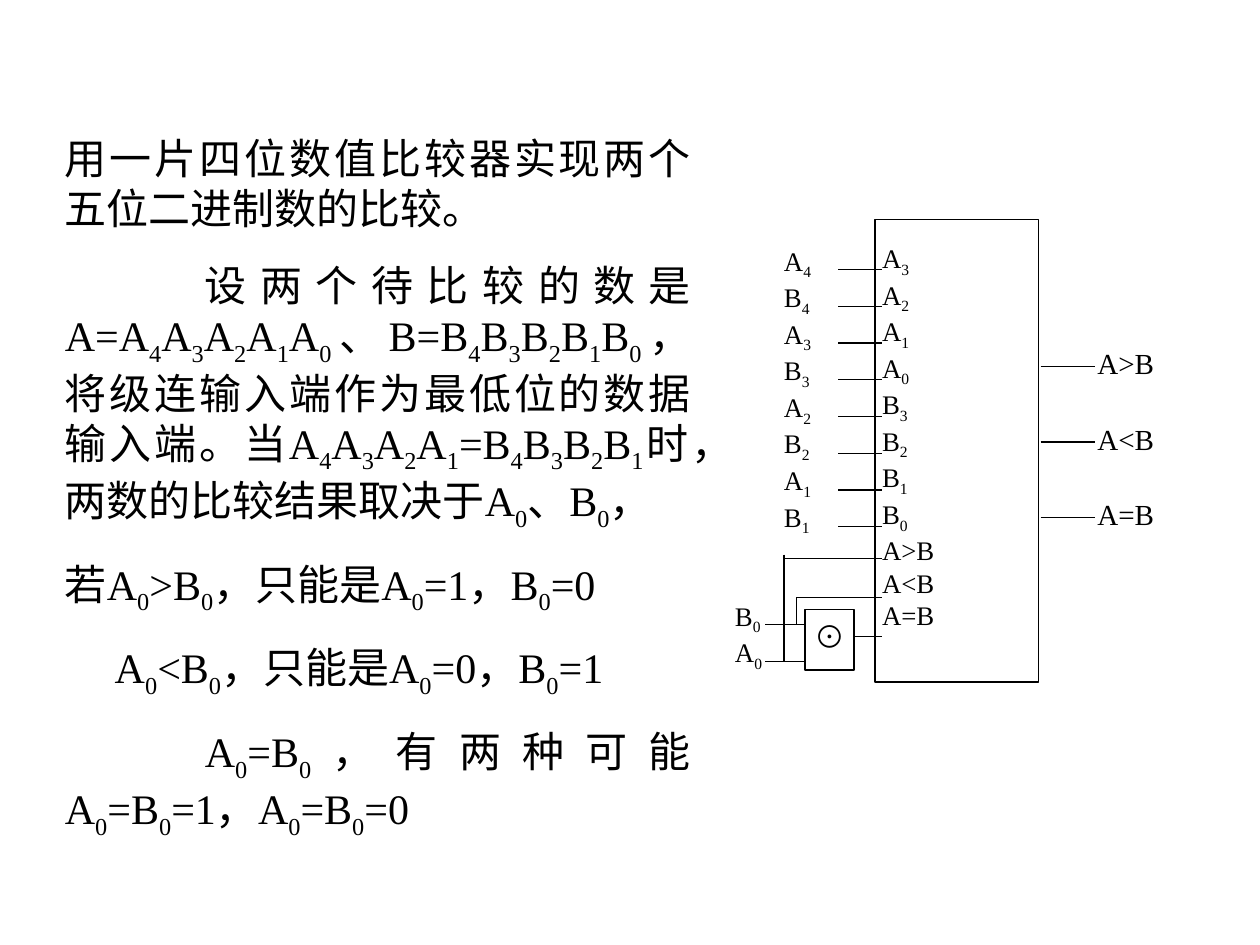
from lxml import etree
from pptx import Presentation
from pptx.dml.color import RGBColor
from pptx.enum.shapes import MSO_CONNECTOR, MSO_SHAPE
from pptx.enum.text import MSO_ANCHOR, PP_ALIGN
from pptx.oxml.ns import qn
from pptx.util import Pt

RECTANGLE = MSO_SHAPE.RECTANGLE
STRAIGHT = MSO_CONNECTOR.STRAIGHT
TOP = MSO_ANCHOR.TOP
JUSTIFY = PP_ALIGN.JUSTIFY
CENTER = PP_ALIGN.CENTER

FONT = "Times New Roman"
BLACK = "000000"
WHITE = "FFFFFF"
PIN_SIZE = 15.3
OUTPUT_SIZE = 16.6
LINE_WIDTH = 0.75

EXPLANATION = [
    ("用一片四位数值比较器实现两个五位二进制数的比较。", 0),
    ("设两个待比较的数是A=A_4A_3A_2A_1A_0、B=B_4B_3B_2B_1B_0，"
     "将级连输入端作为最低位的数据输入端。当A_4A_3A_2A_1=B_4B_3B_2B_1时，"
     "两数的比较结果取决于A_0、B_0，", 80),
    ("若A_0>B_0，只能是A_0=1，B_0=0", 0),
    ("A_0<B_0，只能是A_0=0，B_0=1", 28.5),
    ("A_0=B_0，有两种可能A_0=B_0=1，A_0=B_0=0", 80),
]
SIGNALS = [f"{name}_{digit}" for digit in (4, 3, 2, 1) for name in "AB"]
PINS = [f"{name}_{digit}" for name in "AB" for digit in (3, 2, 1, 0)]
COMPARISONS = ["A>B", "A<B", "A=B"]


def color(value):
    return RGBColor.from_string(value)


def add_run(paragraph, text, size, subscript=False):
    run = paragraph.add_run()
    run.text = text
    run.font.size = Pt(size)
    run.font.name = FONT
    run.font.color.rgb = color(BLACK)
    if subscript:
        run._r.get_or_add_rPr().set("baseline", "-25000")


def write_formula(paragraph, formula, size, alignment=JUSTIFY):
    paragraph.alignment = alignment
    first, *rest = formula.split("_")
    add_run(paragraph, first, size)
    for part in rest:
        add_run(paragraph, part[0], size, subscript=True)
        if part[1:]:
            add_run(paragraph, part[1:], size)


def write_lines(text_frame, lines, size, alignment=JUSTIFY):
    for index, line in enumerate(lines):
        paragraph = text_frame.add_paragraph() if index else text_frame.paragraphs[0]
        write_formula(paragraph, line, size, alignment)


def set_frame(text_frame, horizontal, top, bottom):
    text_frame.word_wrap = True
    text_frame.vertical_anchor = TOP
    text_frame.margin_left = text_frame.margin_right = Pt(horizontal)
    text_frame.margin_top, text_frame.margin_bottom = Pt(top), Pt(bottom)


def add_box(shapes, left, top, width, height, outlined=False):
    shape = shapes.add_shape(RECTANGLE, Pt(left), Pt(top), Pt(width), Pt(height))
    shape.shadow.inherit = False
    shape.fill.solid()
    shape.fill.fore_color.rgb = color(WHITE)
    if outlined:
        shape.line.color.rgb = color(BLACK)
        shape.line.width = Pt(LINE_WIDTH)
    else:
        shape.line.fill.background()
    return shape


def add_labels(shapes, left, top, width, height, lines, size, padding=0):
    shape = add_box(shapes, left, top, width, height)
    set_frame(shape.text_frame, 0, padding, padding)
    write_lines(shape.text_frame, lines, size)


def add_wire(shapes, start_x, start_y, end_x, end_y):
    wire = shapes.add_connector(STRAIGHT, Pt(start_x), Pt(start_y), Pt(end_x), Pt(end_y))
    wire.line.color.rgb = color(BLACK)
    wire.line.width = Pt(LINE_WIDTH)
    etree.SubElement(wire._element.spPr, qn("a:effectLst"))


def add_explanation(slide, left, top, width, height):
    box = slide.shapes.add_textbox(Pt(left), Pt(top), Pt(width), Pt(height))
    text_frame = box.text_frame
    set_frame(text_frame, 7.2, 3.6, 3.6)
    write_lines(text_frame, [text for text, _ in EXPLANATION], 24)
    for index, (paragraph, (_, indent)) in enumerate(zip(text_frame.paragraphs, EXPLANATION)):
        paragraph.space_before = Pt(15 if index else 0)
        paragraph._p.get_or_add_pPr().set("indent", str(Pt(indent)))


def add_gate(shapes, left, top):
    gate = add_box(shapes, left, top, 28, 34.5, outlined=True)
    set_frame(gate.text_frame, 1.5, 3.6, 0.7)
    write_lines(gate.text_frame, ["⊙"], 18, CENTER)
    for offset in (8.6, 29.5):
        add_wire(shapes, left, top + offset, left - 23, top + offset)


def add_comparator(slide, left, top, chip_height):
    shapes = slide.shapes.add_group_shape().shapes
    add_labels(shapes, left, top + 217, 19.5, 42, ["B_0", "A_0"], PIN_SIZE)

    chip_left, chip_width = left + 80, 93.6
    chip_right = chip_left + chip_width
    add_box(shapes, chip_left, top, chip_width, chip_height, outlined=True)

    wire_left = left + 59
    data_wires = [top + 28.4 + 21 * index for index in range(len(SIGNALS))]
    cascade_wires = [top + 193.4 + 22.3 * index for index in range(len(COMPARISONS))]
    for y in data_wires + cascade_wires:
        add_wire(shapes, wire_left, y, wire_left + 31.5, y)

    add_labels(shapes, left + 84, top + 9, 39.6, 243.5,
               PINS + COMPARISONS, PIN_SIZE, 3.6)
    add_labels(shapes, left + 28, top + 10.5, 28, 181, SIGNALS, PIN_SIZE, 3.6)

    for index, comparison in enumerate(COMPARISONS):
        y = top + 83.7 + 43.3 * index
        add_wire(shapes, chip_right + 1, y, chip_right + 32, y)
        add_labels(shapes, chip_right + 33.5, y - 12, 43, 21, [comparison], OUTPUT_SIZE)

    add_gate(shapes, left + 40, top + 222.8)
    greater, less, _ = cascade_wires
    less_x, greater_x = left + 35, left + 28
    add_wire(shapes, wire_left, less, less_x, less)
    add_wire(shapes, less_x, less, less_x, top + 231.4)
    add_wire(shapes, wire_left + 5, greater, greater_x, greater)
    add_wire(shapes, greater_x, greater - 2, greater_x, top + 252.3)


def main():
    presentation = Presentation()
    presentation.slide_width, presentation.slide_height = Pt(720), Pt(540)
    slide = presentation.slides.add_slide(presentation.slide_layouts[6])
    add_explanation(slide, 30, 72, 372, 445)
    add_comparator(slide, 420, 125.6, 264.2)
    presentation.save("out.pptx")


if __name__ == "__main__":
    main()
